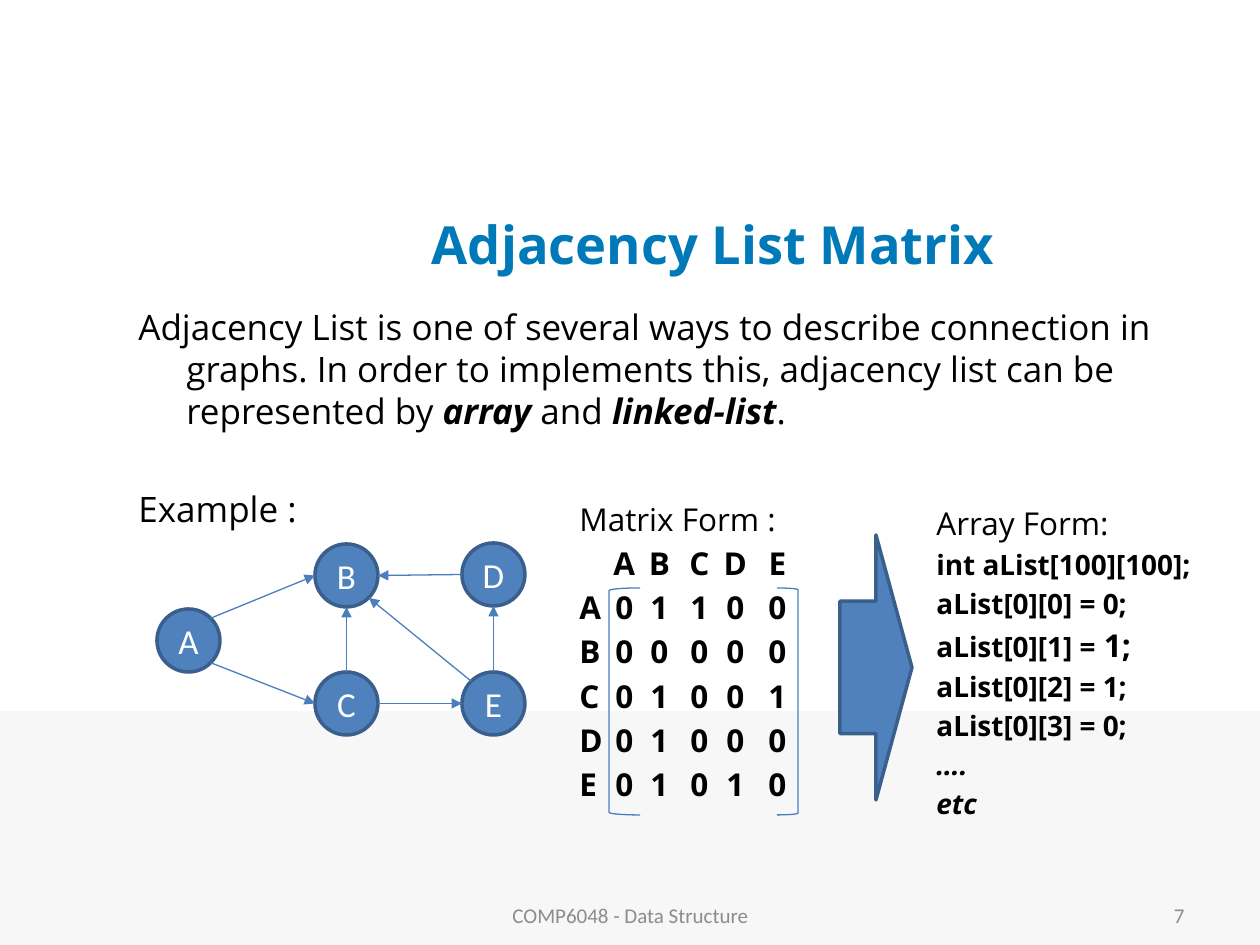
"""Build the Adjacency List Matrix slide."""
import math
import pptx
import pptx.util
import pptx.dml.color
import pptx.enum.shapes
import pptx.enum.text
import pptx.oxml

RGB = pptx.dml.color.RGBColor
BLUE, EDGE, LINE = RGB(0x4F, 0x81, 0xBD), RGB(0x3A, 0x5F, 0x8C), RGB(0x4B, 0x7E, 0xBC)
HEAD, BAND, GRAY = RGB(0x00, 0x79, 0xB8), RGB(0xF7, 0xF7, 0xF7), RGB(0x8C, 0x8C, 0x8C)
BLACK, WHITE = RGB(0, 0, 0), RGB(255, 255, 255)
SANS, PLAIN = "Open Sans", "Calibri"
KIND = pptx.enum.shapes.MSO_SHAPE
ALIGN = pptx.enum.text.PP_ALIGN
MID = pptx.enum.text.MSO_ANCHOR.MIDDLE
NS = 'xmlns:a="http://schemas.openxmlformats.org/drawingml/2006/main"'
PX = 914400 / 126

TITLE = "Adjacency List Matrix"
BODY = [
    [("Adjacency List is one of several ways to describe connection in graphs. "
      "In order to implements this, adjacency list can be represented by ", 20, ""),
     ("array", 20, "bi"), (" and ", 20, ""), ("linked-list", 20, "bi"), (".", 20, "")],
    [("Example :", 20, "")],
]
ARRAY = [
    [("Array Form:", 18, "")],
    [("int aList[100][100];", 16, "b")],
    [("aList[0][0] = 0;", 16, "b")],
    [("aList[0][1] =", 16, "b"), (" 1;", 18, "b")],
    [("aList[0][2] = 1;", 16, "b")],
    [("aList[0][3] = 0;", 16, "b")],
    [("….", 16, "bi")],
    [("etc", 16, "bi")],
]
GRID = [" ABCDE", "A01100", "B00000", "C01001", "D01000", "E01010"]
MATRIX = [[("Matrix Form :", 18, "")]] + [
    [("\t".join(row).strip(" "), 18, "b")] for row in GRID]
STOPS = [45, 80, 120, 156, 198]
NODES = {"A": (157, 609), "B": (315, 544), "C": (315, 672),
         "D": (462, 543), "E": (462, 672)}
SIZE = 63
EDGES = [("A", 45, "B", 180), ("A", -45, "C", 180), ("C", 90, "B", -90),
         ("C", 0, "E", 180), ("E", 90, "D", -90), ("E", 135, "B", -45),
         ("D", 180, "B", 0)]


def px(num):
    return round(num * PX)


def add_run(para, text, size, style="", face=SANS, color=BLACK):
    run = para.add_run()
    run.text = text
    font = run.font
    font.name, font.size, font.color.rgb = face, pptx.util.Pt(size), color
    font.bold, font.italic = "b" in style, "i" in style


def add_text(slide, box, paras, stops=(), gap=None):
    frame = slide.shapes.add_textbox(*map(px, box)).text_frame
    frame.word_wrap = True
    for num, runs in enumerate(paras):
        para = frame.add_paragraph() if num else frame.paragraphs[0]
        props = para._p.get_or_add_pPr()
        if stops and num:
            tabs = "".join(f'<a:tab pos="{px(stop)}" algn="ctr"/>' for stop in stops)
            props.append(pptx.oxml.parse_xml(f"<a:tabLst {NS}>{tabs}</a:tabLst>"))
        else:
            props.set("marL", str(px(48)))
            props.set("indent", str(-px(48)))
        if num:
            para.space_before = pptx.util.Pt(gap or runs[0][1] * 0.2)
        for run in runs:
            add_run(para, *run)


def add_label(slide, box, text, align):
    frame = slide.shapes.add_textbox(*map(px, box)).text_frame
    frame.word_wrap, frame.vertical_anchor = True, MID
    frame.paragraphs[0].alignment = align
    add_run(frame.paragraphs[0], text, 12, "", PLAIN, GRAY)


def add_form(slide, kind, box, fill=None, line=None, width=2):
    form = slide.shapes.add_shape(kind, *map(px, box))
    form.shadow.inherit = False
    if fill is None:
        form.fill.background()
    else:
        form.fill.solid()
        form.fill.fore_color.rgb = fill
    if line is None:
        form.line.fill.background()
    else:
        form.line.color.rgb, form.line.width = line, pptx.util.Pt(width)
    return form


def add_node(slide, name, spot):
    form = add_form(slide, KIND.OVAL, (*spot, SIZE, SIZE), BLUE, EDGE)
    frame = form.text_frame
    frame.margin_left = frame.margin_right = 0
    frame.vertical_anchor = MID
    frame.paragraphs[0].alignment = ALIGN.CENTER
    add_run(frame.paragraphs[0], name, 20, "", PLAIN, WHITE)


def rim(name, angle):
    left, top = NODES[name]
    half, turn = SIZE / 2, math.radians(angle)
    return px(left + half + half * math.cos(turn)), px(top + half - half * math.sin(turn))


def add_edge(slide, start, leave, end, enter):
    edge = slide.shapes.add_connector(
        pptx.enum.shapes.MSO_CONNECTOR.STRAIGHT, *rim(start, leave), *rim(end, enter))
    edge.line.color.rgb, edge.line.width = LINE, pptx.util.Pt(0.75)
    edge.line._get_or_add_ln().append(
        pptx.oxml.parse_xml(f'<a:tailEnd {NS} type="triangle"/>'))
    edge._element.spPr.append(pptx.oxml.parse_xml(f"<a:effectLst {NS}/>"))


def main():
    deck = pptx.Presentation()
    deck.slide_width, deck.slide_height = px(1260), px(945)
    slide = deck.slides.add_slide(deck.slide_layouts[5])
    add_form(slide, KIND.RECTANGLE, (0, 711, 1260, 234), BAND)

    title = slide.shapes.title
    title.left, title.top, title.width, title.height = map(px, (242, 189, 942, 110))
    title.text_frame.vertical_anchor = MID
    title.text_frame.paragraphs[0].alignment = ALIGN.CENTER
    add_run(title.text_frame.paragraphs[0], TITLE, 30, "b", SANS, HEAD)

    add_label(slide, (431, 890, 399, 50), "COMP6048 - Data Structure", ALIGN.CENTER)
    add_label(slide, (903, 890, 294, 50), "7", ALIGN.RIGHT)
    add_text(slide, (126, 299, 1081, 591), BODY, gap=32)
    for name, spot in NODES.items():
        add_node(slide, name, spot)
    for edge in EDGES:
        add_edge(slide, *edge)
    add_text(slide, (924, 498, 283, 346), ARRAY)
    add_text(slide, (567, 494, 252, 346), MATRIX, STOPS)
    add_form(slide, KIND.RIGHT_ARROW, (840, 535, 72, 265), BLUE, EDGE)
    add_form(slide, KIND.LEFT_BRACKET, (609, 588, 31, 227), None, LINE, 0.75)
    add_form(slide, KIND.RIGHT_BRACKET, (777, 588, 21, 227), None, LINE, 0.75)
    deck.save("out.pptx")


if __name__ == "__main__":
    main()
